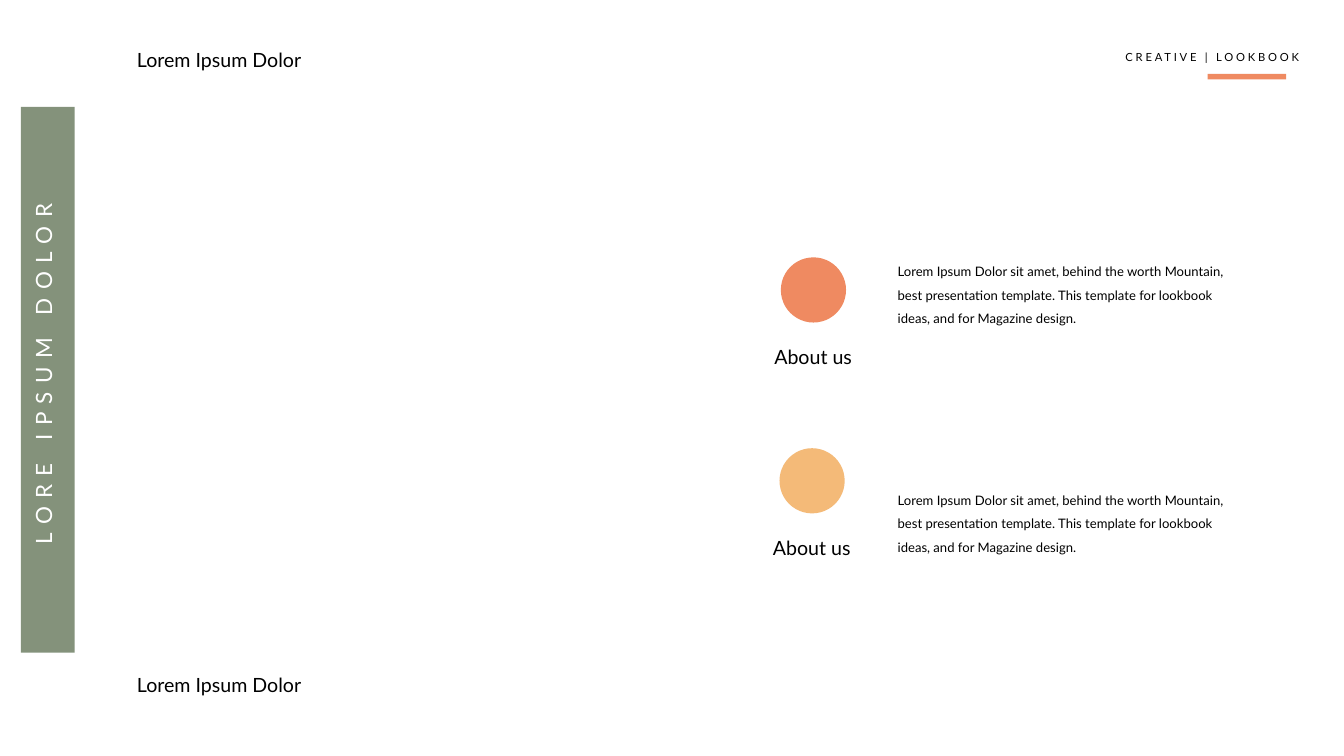
from pptx import Presentation
from pptx.dml.color import RGBColor
from pptx.enum.shapes import MSO_SHAPE
from pptx.enum.text import MSO_ANCHOR, PP_ALIGN
from pptx.util import Inches, Pt

COLORS = {
    "black": "000000",
    "white": "FFFFFF",
    "coral": "EF8A61",
    "amber": "F4BA78",
    "sage": "84927B",
}
HEADING = "Lorem Ipsum Dolor"
BODY = (
    "Lorem Ipsum Dolor sit amet, behind the worth Mountain, best presentation "
    "template. This template for lookbook ideas, and for Magazine design."
)


def write_text(frame, text, *, size=21, color="black", align=PP_ALIGN.LEFT,
               line=0.9, before=10, tracking=0, font="Lato"):
    """Fill a text frame with one paragraph; tracking is in points."""
    frame.word_wrap = True
    frame.vertical_anchor = MSO_ANCHOR.TOP
    para = frame.paragraphs[0]
    para.alignment = align
    para.line_spacing = line
    para.space_before = Pt(before)
    span = para.add_run()
    span.text = text
    span.font.name = font
    span.font.size = Pt(size)
    span.font.color.rgb = RGBColor.from_string(COLORS[color])
    if tracking:
        span._r.get_or_add_rPr().set("spc", str(tracking * 100))


class Lookbook:
    """Holds the style and the current page."""

    def __init__(self, page, colors):
        self.page = page
        self.colors = colors

    def shape(self, kind, left, top, width, height, color):
        shape = self.page.shapes.add_shape(
            kind, Inches(left), Inches(top), Inches(width), Inches(height))
        shape.shadow.inherit = False
        shape.fill.solid()
        shape.fill.fore_color.rgb = RGBColor.from_string(self.colors[color])
        shape.line.fill.background()

    def bar(self, left, top, width, height, color):
        self.shape(MSO_SHAPE.RECTANGLE, left, top, width, height, color)

    def dot(self, left, top, color, diameter=0.97):
        self.shape(MSO_SHAPE.OVAL, left, top, diameter, diameter, color)

    def text(self, left, top, width, height, text, rotation=0, **style):
        box = self.page.shapes.add_textbox(
            Inches(left), Inches(top), Inches(width), Inches(height))
        box.rotation = rotation
        write_text(box.text_frame, text, **style)

    def topic(self, left, top, color, body_top):
        """A coloured dot with its caption below and body text to the right."""
        self.dot(left, top, color)
        self.text(left - 0.33, top + 1.3, 1.62, 0.44, "About us",
                  align=PP_ALIGN.CENTER)
        self.text(13.26, body_top, 5.27, 1.41, BODY, size=14, line=1.5, before=0)


def main():
    deck = Presentation()
    deck.slide_width, deck.slide_height = Inches(20), Inches(11.25)
    page = deck.slides.add_slide(deck.slide_layouts[6])
    lookbook = Lookbook(page, COLORS)

    lookbook.text(16.65, 0.72, 3.01, 0.38, "CREATIVE | LOOKBOOK",
                  size=12, tracking=3)
    lookbook.bar(17.97, 1.1, 1.17, 0.08, "coral")

    lookbook.topic(11.62, 3.83, "coral", body_top=3.76)
    lookbook.topic(11.6, 6.67, "amber", body_top=7.16)

    for top in (10.01, 0.7):
        lookbook.text(1.94, top, 4.5, 0.67, HEADING)

    lookbook.bar(0.31, 1.59, 0.8, 8.12, "sage")
    lookbook.text(-3.56, 5.23, 8.67, 0.67, "LORE IPSUM DOLOR", rotation=270,
                  size=24, color="white", align=PP_ALIGN.CENTER, tracking=9)

    deck.save("out.pptx")


if __name__ == "__main__":
    main()
